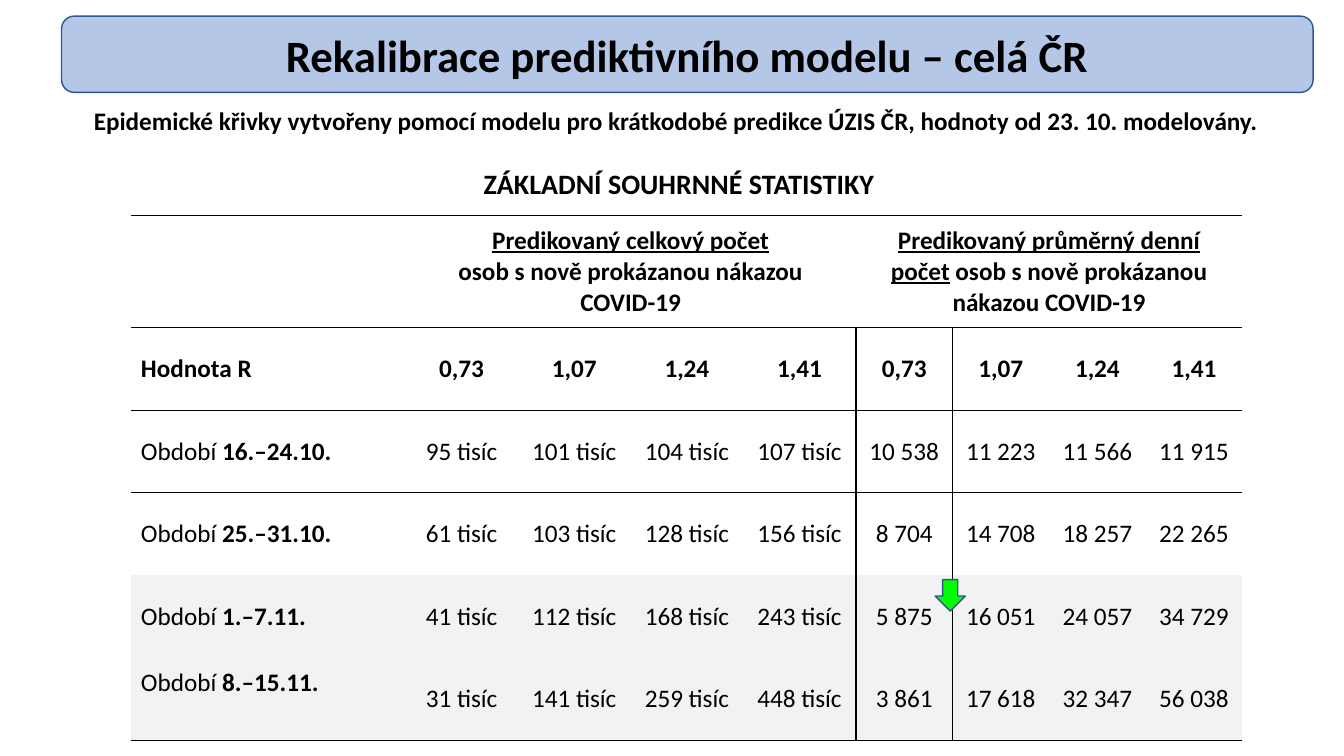
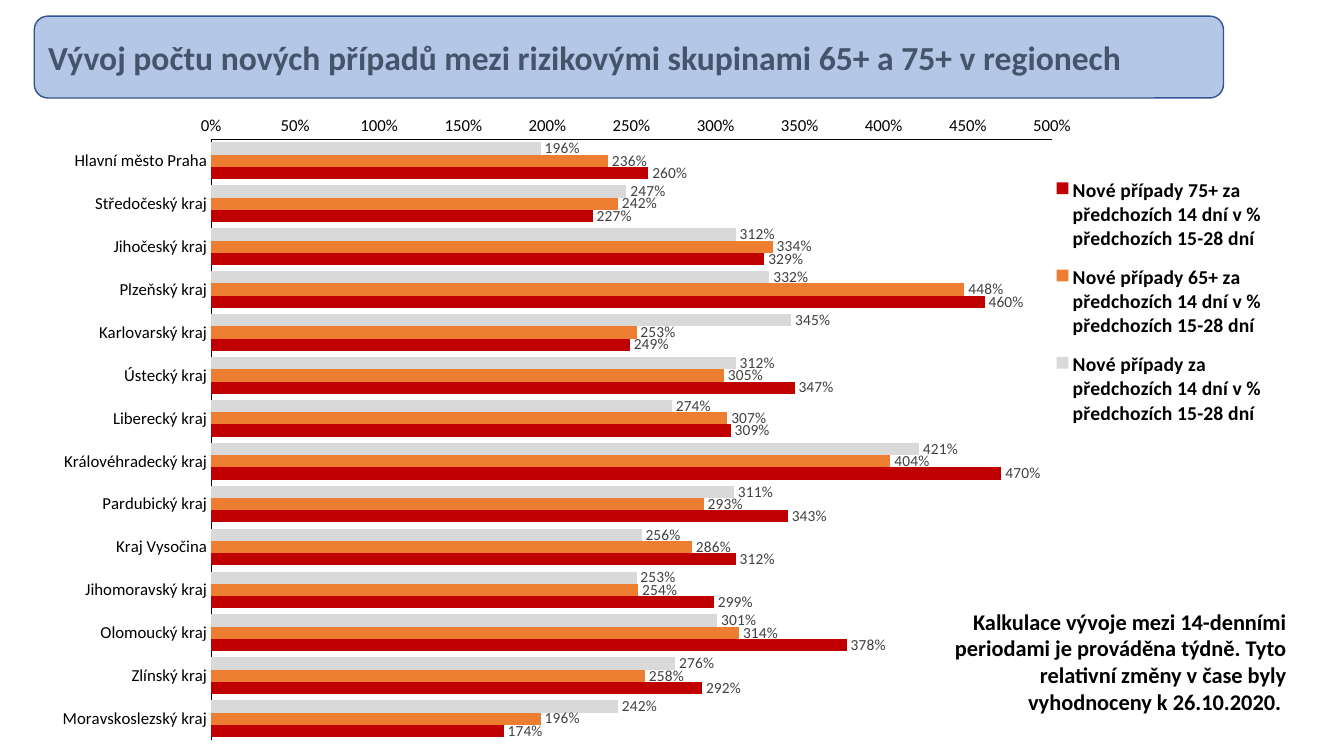
import dataclasses

import pptx
import pptx.chart.data
import pptx.dml.color
import pptx.enum.chart
import pptx.enum.shapes
import pptx.enum.text
import pptx.oxml
import pptx.oxml.ns
import pptx.util

PX = 6350  # EMU per px: 144 px to the inch
ALIGN = pptx.enum.text.PP_ALIGN
MIDDLE = pptx.enum.text.MSO_ANCHOR.MIDDLE
SHAPE = pptx.enum.shapes.MSO_SHAPE


@dataclasses.dataclass(frozen=True)
class Theme:
    font: str = "Calibri"
    text: str = "000000"
    muted: str = "44546A"
    label: str = "404040"
    banner: str = "B4C7E7"
    outline: str = "325491"
    arrow: str = "00FF00"
    shade: str = "F2F2F2"
    all_cases: str = "D9D9D9"
    over_65: str = "ED7D31"
    over_75: str = "C00000"
    title: int = 32
    subtitle: int = 24
    heading: int = 20
    body: int = 18
    note: int = 16
    legend: int = 14
    axis: int = 12
    value: int = 11
    chart: int = 10


T = Theme()

R_VALUES = ["0,73", "1,07", "1,24", "1,41"]
PERIODS = [
    ("16.–24.10.", ["95 tisíc", "101 tisíc", "104 tisíc", "107 tisíc",
                    "10 538", "11 223", "11 566", "11 915"]),
    ("25.–31.10.", ["61 tisíc", "103 tisíc", "128 tisíc", "156 tisíc",
                    "8 704", "14 708", "18 257", "22 265"]),
    ("1.–7.11.", ["41 tisíc", "112 tisíc", "168 tisíc", "243 tisíc",
                  "5 875", "16 051", "24 057", "34 729"]),
    ("8.–15.11.", ["31 tisíc", "141 tisíc", "259 tisíc", "448 tisíc",
                   "3 861", "17 618", "32 347", "56 038"]),
]
REGIONS = ["Hlavní město Praha", "Středočeský kraj", "Jihočeský kraj", "Plzeňský kraj",
           "Karlovarský kraj", "Ústecký kraj", "Liberecký kraj", "Královéhradecký kraj",
           "Pardubický kraj", "Kraj Vysočina", "Jihomoravský kraj", "Olomoucký kraj",
           "Zlínský kraj", "Moravskoslezský kraj"]
SERIES = [
    ("", T.all_cases, [1.96, 2.47, 3.12, 3.32, 3.45, 3.12, 2.74,
                       4.21, 3.11, 2.56, 2.53, 3.01, 2.76, 2.42]),
    ("65+ ", T.over_65, [2.36, 2.42, 3.34, 4.48, 2.53, 3.05, 3.07,
                         4.04, 2.93, 2.86, 2.54, 3.14, 2.58, 1.96]),
    ("75+ ", T.over_75, [2.6, 2.27, 3.29, 4.6, 2.49, 3.47, 3.09,
                         4.7, 3.43, 3.12, 2.99, 3.78, 2.92, 1.74]),
]


def rgb(color):
    return pptx.dml.color.RGBColor.from_string(color)


def px(*lengths):
    return [pptx.util.Emu(length * PX) for length in lengths]


def set_font(font, size, color=T.text, **values):
    values = {"name": T.font, "size": pptx.util.Pt(size), "bold": False, **values}
    for name, value in values.items():
        setattr(font, name, value)
    font.color.rgb = rgb(color)


def write(p, runs, size, align=ALIGN.LEFT, color=T.text):
    """Fill a paragraph with (text, font values) runs; a newline is a line break."""
    p.alignment = align
    for text, values in runs:
        for i, line in enumerate(text.split("\n")):
            if i:
                p.add_line_break()
            if line:
                r = p.add_run()
                r.text = line
                set_font(r.font, size, color, **values)


def add_shape(s, kind, box, fill):
    sp = s.shapes.add_shape(kind, *px(*box))
    sp.shadow.inherit = False
    sp.fill.solid()
    sp.fill.fore_color.rgb = rgb(fill)
    sp.line.color.rgb = rgb(T.outline)
    sp.line.width = pptx.util.Pt(1)
    return sp


def add_banner(s, box, title, size, align, color=T.text):
    tf = add_shape(s, SHAPE.ROUNDED_RECTANGLE, box, T.banner).text_frame
    tf.word_wrap = True
    tf.vertical_anchor = MIDDLE
    write(tf.paragraphs[0], [(title, {"bold": True})], size, align, color)


def add_text(s, box, paragraphs, align):
    """Add bold paragraphs, each given as (text, size, space before in points)."""
    tf = s.shapes.add_textbox(*px(*box)).text_frame
    tf.word_wrap = True
    for i, (text, size, space) in enumerate(paragraphs):
        p = tf.add_paragraph() if i else tf.paragraphs[0]
        p.space_before = pptx.util.Pt(space)
        write(p, [(text, {"bold": True})], size, align)


def set_borders(cell, sides):
    """Draw the sides named in a string of L, R, T and B, and clear the others."""
    ns = pptx.oxml.ns.nsdecls("a")
    tc_pr = cell._tc.get_or_add_tcPr()
    for i, side in enumerate("LRTB"):
        paint = "<a:noFill/>"
        if side in sides:
            paint = f'<a:solidFill><a:srgbClr val="{T.text}"/></a:solidFill>'
        tc_pr.insert(i, pptx.oxml.parse_xml(f'<a:ln{side} {ns} w="12700">{paint}</a:ln{side}>'))


def cell_sides(row, col):
    sides = "T" if row <= 3 else ""
    if row <= 2 or row == 5:
        sides += "B"
    if row:
        sides += {4: "R", 5: "LR", 6: "L"}.get(col, "")
    return sides


def fill_cell(cell, runs, align=ALIGN.CENTER, margin=None):
    cell.vertical_anchor = MIDDLE
    if margin is not None:
        for side in ("left", "right", "top", "bottom"):
            setattr(cell, f"margin_{side}", margin)
    write(cell.text_frame.paragraphs[0], runs, T.body, align)


def add_statistics(s):
    widths = [392] + [161] * 4 + [138] * 4
    heights = [160] + [118] * 5
    frame = s.shapes.add_table(len(heights), len(widths),
                               *px(187, 308, sum(widths), sum(heights)))
    table = frame.table
    table.first_row = table.horz_banding = False
    for column, width in zip(table.columns, px(*widths)):
        column.width = width
    for row, height in zip(table.rows, px(*heights)):
        row.height = height

    bold = {"bold": True}
    underlined = {"bold": True, "underline": True}
    headers = [
        (1, "Predikovaný celkový počet", "\nosob s nově prokázanou nákazou\nCOVID-19"),
        (5, "Predikovaný průměrný denní počet", " osob s nově prokázanou nákazou COVID-19"),
    ]
    for col, quantity, rest in headers:
        table.cell(0, col).merge(table.cell(0, col + 3))
        fill_cell(table.cell(0, col), [(quantity, underlined), (rest, bold)])

    fill_cell(table.cell(1, 0), [("Hodnota R", bold)], ALIGN.LEFT)
    for col, value in enumerate(R_VALUES * 2, 1):
        fill_cell(table.cell(1, col), [(value, bold)], margin=0)
    for row, (period, values) in enumerate(PERIODS, 2):
        fill_cell(table.cell(row, 0), [("Období ", {}), (period, bold)], ALIGN.LEFT)
        for col, value in enumerate(values, 1):
            fill_cell(table.cell(row, col), [(value, {})], margin=0)
    table.cell(5, 0).margin_bottom = px(53)[0]

    for row in range(len(heights)):
        for col in range(len(widths)):
            cell = table.cell(row, col)
            if row >= 4:
                cell.fill.solid()
                cell.fill.fore_color.rgb = rgb(T.shade)
            else:
                cell.fill.background()
            set_borders(cell, cell_sides(row, col))


def set_layout(parent, index, inner=False, **place):
    """Place a chart part by fractions x, y, w and h of the chart area."""
    for old in parent.findall(pptx.oxml.ns.qn("c:layout")):
        parent.remove(old)
    target = '<c:layoutTarget val="inner"/>' if inner else ""
    modes = '<c:xMode val="edge"/><c:yMode val="edge"/>'
    sizes = "".join(f'<c:{name} val="{value}"/>' for name, value in place.items())
    parent.insert(index, pptx.oxml.parse_xml(
        f'<c:layout {pptx.oxml.ns.nsdecls("c")}><c:manualLayout>'
        f"{target}{modes}{sizes}</c:manualLayout></c:layout>"))


def style_axis(axis):
    axis.has_major_gridlines = False
    axis.major_tick_mark = axis.minor_tick_mark = pptx.enum.chart.XL_TICK_MARK.NONE
    axis.format.line.color.rgb = rgb(T.text)
    axis.format.line.width = pptx.util.Pt(0.75)
    set_font(axis.tick_labels.font, T.axis)


def add_region_chart(s):
    data = pptx.chart.data.CategoryChartData(number_format="0%")
    data.categories = REGIONS
    for group, _, values in SERIES:
        data.add_series(f"Nové případy {group}za předchozích 14 dní v % předchozích 15-28 dní",
                        values)
    chart = s.shapes.add_chart(pptx.enum.chart.XL_CHART_TYPE.BAR_CLUSTERED,
                               *px(71, 140, 1801, 940), data).chart
    set_font(chart.font, T.chart)
    chart.has_title = False

    plot = chart.plots[0]
    plot.gap_width = 50
    plot.overlap = 0
    plot.vary_by_categories = False
    for series, (_, color, _) in zip(plot.series, SERIES):
        series.format.fill.solid()
        series.format.fill.fore_color.rgb = rgb(color)
        series.invert_if_negative = False
        labels = series.data_labels
        labels.show_value = True
        labels.number_format = "0%"
        labels.number_format_is_linked = False
        labels.position = pptx.enum.chart.XL_LABEL_POSITION.OUTSIDE_END
        set_font(labels.font, T.value, T.label)

    style_axis(chart.category_axis)
    chart.category_axis.reverse_order = True
    axis = chart.value_axis
    style_axis(axis)
    axis.minimum_scale, axis.maximum_scale, axis.major_unit = 0, 5, 0.5
    axis.tick_labels.number_format = "0%"
    axis.tick_labels.number_format_is_linked = False

    chart.has_legend = True
    legend = chart.legend
    legend.position = pptx.enum.chart.XL_LEGEND_POSITION.RIGHT
    legend.include_in_layout = False
    set_font(legend.font, T.legend, bold=True)
    set_layout(legend._element, 1, x=0.79, y=0.1, w=0.18, h=0.42)
    plot_area = chart._chartSpace.chart.plotArea
    set_layout(plot_area, 0, inner=True, x=0.128, y=0.063, w=0.667, h=0.913)


def build_model_slide(s):
    add_banner(s, (88, 23, 1788, 109), "Rekalibrace prediktivního modelu – celá ČR",
               T.title, ALIGN.CENTER)
    add_statistics(s)
    add_text(s, (88, 144, 1764, 150), [
        ("Epidemické křivky vytvořeny pomocí modelu pro krátkodobé predikce ÚZIS ČR, "
         "hodnoty od 23. 10. modelovány. ", T.body, 0),
        ("ZÁKLADNÍ SOUHRNNÉ STATISTIKY", T.heading, 22),
    ], ALIGN.CENTER)
    add_shape(s, SHAPE.DOWN_ARROW, (1336, 828, 43, 45), T.arrow)


def build_region_slide(s):
    add_banner(s, (49, 23, 1699, 117),
               "Vývoj počtu nových případů mezi rizikovými skupinami 65+ a 75+ v regionech",
               T.subtitle, ALIGN.LEFT, T.muted)
    add_region_chart(s)
    add_text(s, (1335, 861, 517, 219), [
        ("Kalkulace vývoje mezi 14-denními periodami je prováděna týdně. Tyto relativní "
         "změny v čase byly vyhodnoceny k 26.10.2020. ", T.note, 0),
    ], ALIGN.RIGHT)


def main():
    prs = pptx.Presentation()
    prs.slide_width, prs.slide_height = px(1920, 1080)
    for build in (build_model_slide, build_region_slide):
        build(prs.slides.add_slide(prs.slide_layouts[6]))
    prs.save("out.pptx")


if __name__ == "__main__":
    main()
